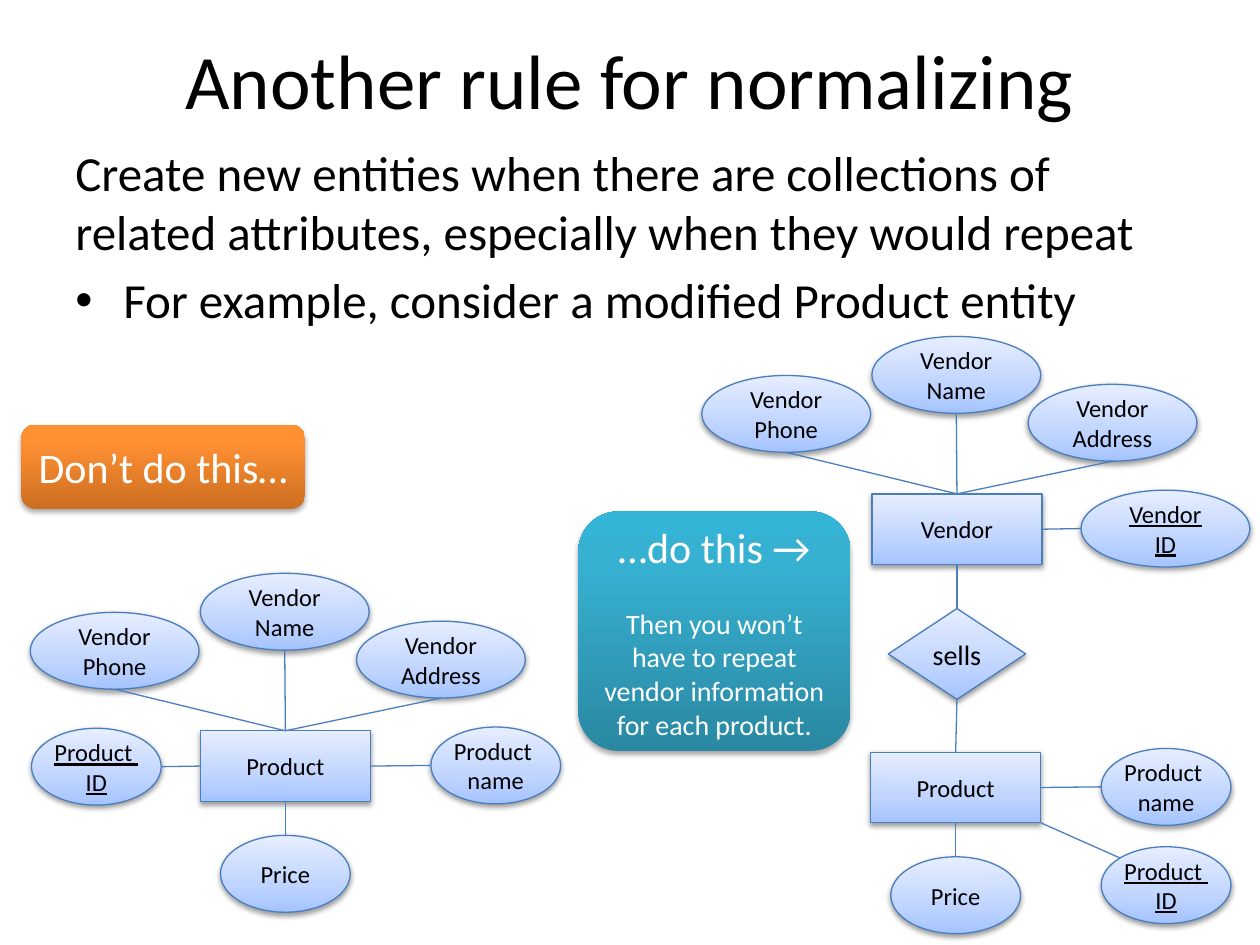
from dataclasses import dataclass

from lxml import etree
from pptx import Presentation
from pptx.dml.color import RGBColor
from pptx.enum.shapes import MSO_CONNECTOR, MSO_SHAPE
from pptx.enum.text import MSO_ANCHOR, PP_ALIGN
from pptx.oxml.ns import qn
from pptx.util import Inches, Pt

RECT, OVAL = MSO_SHAPE.RECTANGLE, MSO_SHAPE.OVAL
DIAMOND, ROUND = MSO_SHAPE.DIAMOND, MSO_SHAPE.ROUNDED_RECTANGLE
STRAIGHT = MSO_CONNECTOR.STRAIGHT
CENTER, LEFT = PP_ALIGN.CENTER, PP_ALIGN.LEFT
MIDDLE, UPPER = MSO_ANCHOR.MIDDLE, MSO_ANCHOR.TOP
TOP, WEST, BOTTOM, EAST = range(4)
WIDE, SMALL, TALL = 1.34, 1.03, 0.61


@dataclass(frozen=True)
class Theme:
    font: str = "Calibri"
    dark: str = "000000"
    light: str = "FFFFFF"
    edge: str = "4B7EBC"
    blue: tuple = ((0, "A4C4FF"), (35, "BFD4FF"), (100, "E6EEFF"))
    teal: tuple = ((0, "2A88A2"), (80, "37B1D2"), (100, "34B4D6"))
    orange: tuple = ((0, "CC6E20"), (80, "FF9034"), (100, "FF9136"))
    title: int = 44
    body: int = 28
    call: int = 24
    note: int = 16
    label: int = 14


THEME = Theme()


def style(para, size, color, align=CENTER, under=False):
    para.alignment = align
    font = para.font
    for target in [font] + [run.font for run in para.runs]:
        target.name, target.size = THEME.font, Pt(size)
        target.color.rgb = RGBColor.from_string(color)
        if under:
            target.underline = True


def add_color(parent, color):
    return etree.SubElement(parent, qn("a:srgbClr"), val=color)


def shade(shape, stops):
    """Fill with a gradient that runs from bottom to top."""
    shape.fill.gradient()
    shape.fill.gradient_angle = 90
    ramp = shape._element.spPr.find(".//" + qn("a:gsLst"))
    for old in list(ramp):
        ramp.remove(old)
    for pos, color in stops:
        add_color(etree.SubElement(ramp, qn("a:gs"), pos=str(pos * 1000)), color)


def drop(shape, alpha, dist):
    """Give a soft shadow straight below."""
    shape.shadow.inherit = False
    effects = shape._element.spPr.find(qn("a:effectLst"))
    outer = etree.SubElement(
        effects, qn("a:outerShdw"), blurRad="40000", dist=str(dist),
        dir="5400000", rotWithShape="0")
    tint = add_color(outer, THEME.dark)
    etree.SubElement(tint, qn("a:alpha"), val=str(alpha * 1000))


def add_box(slide, kind, at, text, stops):
    shape = slide.shapes.add_shape(kind, *map(Inches, at))
    shade(shape, stops)
    frame = shape.text_frame
    frame.text = text
    frame.word_wrap = True
    frame.vertical_anchor = MIDDLE
    return shape


def add_node(slide, kind, at, text, size=THEME.label, under=False, wrap=True):
    shape = add_box(slide, kind, at, text, THEME.blue)
    shape.line.color.rgb = RGBColor.from_string(THEME.edge)
    shape.line.width = Pt(0.75)
    drop(shape, 38, 20000)
    shape.text_frame.word_wrap = wrap
    style(shape.text_frame.paragraphs[0], size, THEME.dark, under=under)
    return shape


def add_entity(slide, x, y, text):
    return add_node(slide, RECT, (x, y, 1.35, 0.56), text)


def add_call(slide, at, lines, stops):
    shape = add_box(slide, ROUND, at, "\n".join(lines), stops)
    shape.line.fill.background()
    drop(shape, 35, 23000)
    paras = shape.text_frame.paragraphs
    style(paras[0], THEME.call, THEME.light)
    for para in paras[1:]:
        style(para, THEME.note, THEME.light)
        para.space_before = Pt(19.5)


def add_text(slide, at, text, size, align, anchor):
    frame = slide.shapes.add_textbox(*map(Inches, at)).text_frame
    frame.word_wrap = True
    frame.vertical_anchor = anchor
    frame.text = text
    for para in frame.paragraphs:
        style(para, size, THEME.dark, align)
    return frame


def add_bullet(para):
    props = para._p.get_or_add_pPr()
    props.set("marL", str(Inches(0.38)))
    props.set("indent", str(-Inches(0.38)))
    mark = etree.Element(qn("a:buChar"), char="•")
    props.insert(0, mark)
    props.insert(0, etree.Element(qn("a:buFont"), typeface="Arial"))


def side(shape, site):
    """Return the middle of one side of a shape."""
    x, y, w, h = shape.left, shape.top, shape.width, shape.height
    return {TOP: (x + w // 2, y), WEST: (x, y + h // 2),
            BOTTOM: (x + w // 2, y + h), EAST: (x + w, y + h // 2)}[site]


def add_line(slide, start, end):
    line = slide.shapes.add_connector(STRAIGHT, *start, *end)
    line.line.color.rgb = RGBColor.from_string(THEME.edge)
    line.line.width = Pt(0.75)
    etree.SubElement(line._element.spPr, qn("a:effectLst"))
    return line


def link(slide, first, out, second, into):
    line = add_line(slide, side(first, out), side(second, into))
    line.begin_connect(first, out)
    if second.auto_shape_type != OVAL:  # ovals number their sites differently
        line.end_connect(second, into)


def add_vendor(slide, x, y, hub):
    """Place the three vendor attributes above an entity at x, y."""
    for text, dx, dy in (("Vendor Name", 0, -1.25),
                         ("Vendor Address", 1.24, -0.87),
                         ("Vendor Phone", -1.35, -0.94)):
        oval = add_node(slide, OVAL, (x + dx, y + dy, WIDE, TALL), text)
        link(slide, hub, TOP, oval, BOTTOM)


def add_product(slide, x, y):
    """Place the product entity with its price and name."""
    hub = add_entity(slide, x, y, "Product")
    price = add_node(slide, OVAL, (x + 0.16, y + 0.83, SMALL, TALL), "Price")
    name = add_node(slide, OVAL, (x + 1.83, y - 0.03, SMALL, TALL),
                    "Product \vname", wrap=False)
    link(slide, hub, BOTTOM, price, TOP)
    link(slide, hub, EAST, name, WEST)
    return hub


def add_key(slide, x, y):
    return add_node(slide, OVAL, (x, y, SMALL, TALL), "Product \vID",
                    under=True, wrap=False)


def main():
    deck = Presentation()
    deck.slide_width, deck.slide_height = Inches(10), Inches(7.5)
    slide = deck.slides.add_slide(deck.slide_layouts[6])

    add_text(slide, (0.5, 0, 9, 1.25), "Another rule for normalizing",
             THEME.title, CENTER, MIDDLE)
    body = add_text(
        slide, (0.5, 1.08, 8.99, 5.33),
        "Create new entities when there are collections of related "
        "attributes, especially when they would repeat\n"
        "For example, consider a modified Product entity",
        THEME.body, LEFT, UPPER)
    add_bullet(body.paragraphs[1])
    body.paragraphs[1].space_before = Pt(5.6)

    add_call(slide, (0.17, 3.37, 2.25, 0.67), ["Don’t do this…"], THEME.orange)
    add_call(slide, (4.59, 4.06, 2.16, 1.9),
             ["…do this →", "Then you won’t have to repeat vendor "
              "information for each product."], THEME.teal)

    mixed = add_product(slide, 1.59, 5.8)
    add_vendor(slide, 1.59, 5.8, mixed)
    link(slide, mixed, WEST, add_key(slide, 0.25, 5.78), EAST)

    product = add_product(slide, 6.91, 5.97)
    add_key(slide, 8.74, 6.72)
    add_line(slide, (Inches(8.26), Inches(6.53)), (Inches(8.89), Inches(6.81)))
    vendor = add_entity(slide, 6.92, 3.92, "Vendor")
    add_vendor(slide, 6.92, 3.92, vendor)
    code = add_node(slide, OVAL, (8.58, 3.89, WIDE, TALL), "Vendor ID", under=True)
    link(slide, vendor, EAST, code, WEST)
    sells = add_node(slide, DIAMOND, (7.05, 4.83, 1.09, 0.72), "sells",
                     THEME.note, wrap=False)
    link(slide, vendor, BOTTOM, sells, TOP)
    link(slide, product, TOP, sells, BOTTOM)

    deck.save("out.pptx")


if __name__ == "__main__":
    main()
